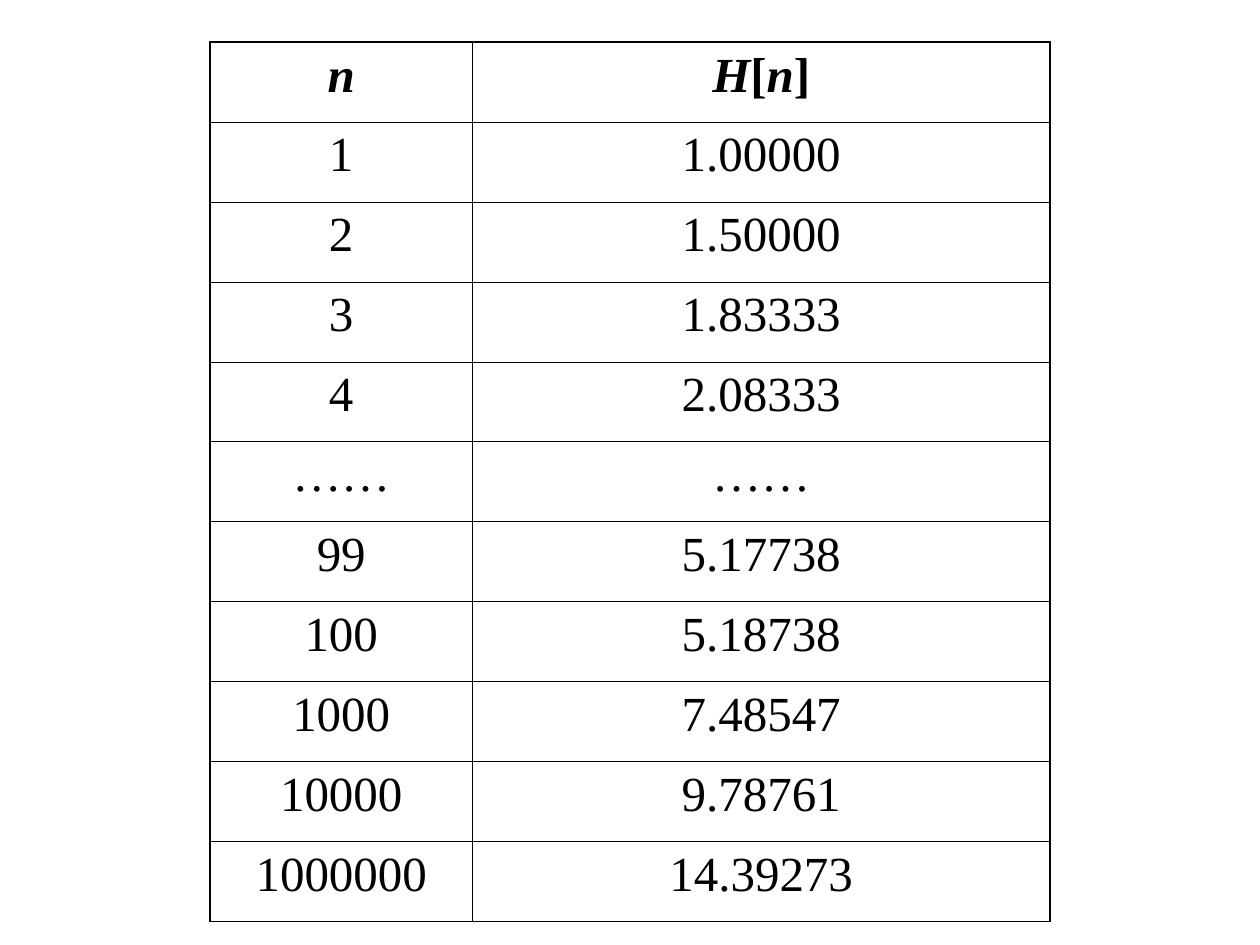
import pptx
import pptx.dml.color
import pptx.enum.text
import pptx.oxml
import pptx.oxml.ns
import pptx.util

Pt = pptx.util.Pt
BLACK = pptx.dml.color.RGBColor(0, 0, 0)
HARMONIC_ROWS = [
    ("n", "H[n]"),
    ("1", "1.00000"),
    ("2", "1.50000"),
    ("3", "1.83333"),
    ("4", "2.08333"),
    ("……", "……"),
    ("99", "5.17738"),
    ("100", "5.18738"),
    ("1000", "7.48547"),
    ("10000", "9.78761"),
    ("1000000", "14.39273"),
]


class HarmonicSlide:
    font_name = "Times New Roman"
    font_size = Pt(28)
    space_before = Pt(7)
    outer_line = Pt(1.08)
    inner_line = Pt(0.45)

    def __init__(self, presentation):
        self.slide = presentation.slides.add_slide(presentation.slide_layouts[6])

    def add_run(self, paragraph, text, bold=False, italic=False):
        run = paragraph.add_run()
        run.text = text
        run.font.name = self.font_name
        run.font.size = self.font_size
        run.font.bold = bold
        run.font.italic = italic
        run.font.color.rgb = BLACK

    def add_border(self, cell, side, width):
        properties = cell._tc.get_or_add_tcPr()
        properties.append(pptx.oxml.parse_xml(
            f'<a:ln{side} {pptx.oxml.ns.nsdecls("a")} w="{int(width)}">'
            f'<a:solidFill><a:srgbClr val="{BLACK}"/></a:solidFill></a:ln{side}>'
        ))

    def fill_cell(self, cell, text, header, outer_sides):
        paragraph = cell.text_frame.paragraphs[0]
        paragraph.alignment = pptx.enum.text.PP_ALIGN.CENTER
        paragraph.space_before = self.space_before
        for piece in text if header else [text]:
            self.add_run(paragraph, piece, header, header and piece.isalpha())
        for side in "LRTB":
            width = self.outer_line if side in outer_sides else self.inner_line
            self.add_border(cell, side, width)
        cell.fill.background()

    def add_table(self, rows, left, top, column_widths, row_height):
        table = self.slide.shapes.add_table(
            len(rows), len(column_widths), Pt(left), Pt(top),
            Pt(sum(column_widths)), Pt(row_height * len(rows)),
        ).table
        table.first_row = False
        table.horz_banding = False
        for column, width in zip(table.columns, column_widths):
            column.width = Pt(width)
        last_row, last_column = len(rows) - 1, len(column_widths) - 1
        for row_index, values in enumerate(rows):
            table.rows[row_index].height = Pt(row_height)
            for column_index, value in enumerate(values):
                edges = {
                    "L": column_index == 0,
                    "R": column_index == last_column,
                    "T": row_index == 0,
                    "B": row_index == last_row,
                }
                outer_sides = [side for side, outer in edges.items() if outer]
                self.fill_cell(table.cell(row_index, column_index), value,
                               row_index == 0, outer_sides)


def main():
    presentation = pptx.Presentation()
    presentation.slide_width = Pt(720)
    presentation.slide_height = Pt(540)
    harmonic = HarmonicSlide(presentation)
    harmonic.add_table(HARMONIC_ROWS, 120, 24, (150, 330), 45.72)
    presentation.save("out.pptx")


if __name__ == "__main__":
    main()
